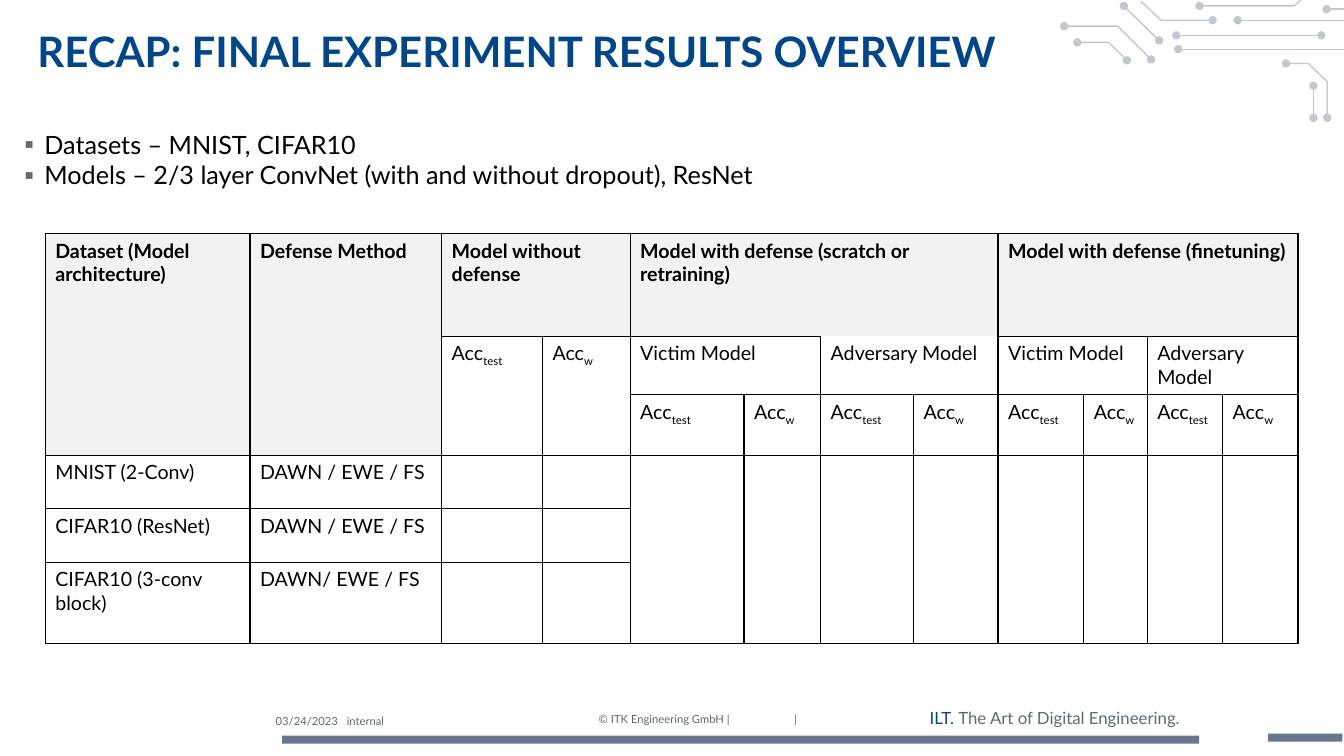
from dataclasses import dataclass
from lxml.etree import SubElement
from pptx import Presentation
from pptx.dml.color import RGBColor
from pptx.enum.shapes import MSO_CONNECTOR, MSO_SHAPE
from pptx.enum.text import MSO_ANCHOR, MSO_AUTO_SIZE, PP_ALIGN
from pptx.oxml.ns import qn
from pptx.util import Cm, Pt


@dataclass(frozen=True)
class Theme:
    font: str = "Lato"
    blue: str = "004689"
    grey: str = "5D6A70"
    bar: str = "69768D"
    wire: str = "C2C8D2"
    shade: str = "F2F2F2"
    black: str = "000000"
    white: str = "FFFFFF"
    title: int = 30
    body: int = 18
    cell: int = 14
    tag: int = 12
    small: int = 8


theme = Theme()

COLS = [5.16, 4.83, 2.54, 2.21, 2.87, 1.93, 2.34, 2.13, 2.16, 1.6, 1.9, 1.9]
ROWS = [2.59, 1.47, 1.52, 1.35, 1.35, 2.04]
PAIR = ["Acc_test", "Acc_w"]
CELLS = [
    ["Dataset (Model architecture)", "Defense Method", "Model without defense", "",
     "Model with defense (scratch or retraining)", "", "", "",
     "Model with defense (finetuning)"],
    ["", "", *PAIR, *["Victim Model", "", "Adversary Model", ""] * 2],
    ["", "", "", "", *PAIR * 4],
    ["MNIST (2-Conv)", "DAWN / EWE / FS"],
    ["CIFAR10 (ResNet)", "DAWN / EWE / FS"],
    ["CIFAR10 (3-conv block)", "DAWN/ EWE / FS"],
]
SPANS = [
    (0, 0, 3, 1), (0, 1, 3, 1), (0, 2, 1, 2), (0, 4, 1, 4), (0, 8, 1, 4),
    (1, 2, 2, 1), (1, 3, 2, 1),
    *[(1, col, 1, 2) for col in range(4, 12, 2)],
    *[(3, col, 3, 1) for col in range(4, 12)],
]
WIRES = [
    ([(0.02, 0.66), (1.37, 0.66), (2.21, 1.5)], True),
    ([(0.35, 1.07), (1.14, 1.07), (1.6, 1.52)], True),
    ([(1.52, 0.15), (2.41, 1.02)], True),
    ([(2.89, 1.24), (7.06, 1.24)], False),
    ([(2.84, 0.89), (6.5, 0.89)], True),
    ([(3.76, 0.51), (2.46, 0.51), (1.95, 0.03)], False),
    ([(4.39, 0.51), (7.06, 0.51)], False),
    ([(3.43, 0.15), (5.81, 0.15), (5.99, 0)], False),
    ([(6.63, 0.23), (7.06, 0.23)], False),
    ([(5.61, 1.6), (6.17, 1.6), (6.65, 2.06), (6.65, 2.97)], True),
    ([(6.3, 2.16), (6.3, 2.97)], True),
]


def write(para, text, size, color=theme.black, bold=False, sub=False):
    run = para.add_run()
    run.text = text
    font = run.font
    font.name, font.size, font.bold = theme.font, Pt(size), bold
    font.color.rgb = RGBColor.from_string(color)
    if sub:
        run._r.get_or_add_rPr().set("baseline", "-25000")


def place(shape, box):
    shape.left, shape.top, shape.width, shape.height = map(Cm, box)


def clear(frame):
    frame.word_wrap = True
    frame.auto_size = MSO_AUTO_SIZE.NONE
    frame.margin_left = frame.margin_right = 0
    frame.margin_top = frame.margin_bottom = 0


def label(slide, box, parts, size, align=PP_ALIGN.LEFT):
    frame = slide.shapes.add_textbox(*map(Cm, box)).text_frame
    clear(frame)
    frame.vertical_anchor = MSO_ANCHOR.MIDDLE
    para = frame.paragraphs[0]
    para.alignment = align
    for text, color in parts:
        write(para, text, size, color)
    return para


def draw_wires(slide, box):
    left, top = box
    for points, both in WIRES:
        spots = [(Cm(left + x), Cm(top + y)) for x, y in points]
        if len(spots) == 2:
            wire = slide.shapes.add_connector(MSO_CONNECTOR.STRAIGHT, *spots[0], *spots[1])
        else:
            path = slide.shapes.build_freeform(*spots[0], scale=1.0)
            path.add_line_segments(spots[1:], close=False)
            wire = path.convert_to_shape()
            wire.fill.background()
        wire.line.color.rgb = RGBColor.from_string(theme.wire)
        wire.line.width = Pt(1)
        line = wire.line._get_or_add_ln()
        SubElement(line, qn("a:headEnd"), type="oval")
        if both:
            SubElement(line, qn("a:tailEnd"), type="oval")
        SubElement(wire._element.spPr, qn("a:effectLst"))


def draw_foot(slide, box):
    left, top = box
    note = label(slide, (left + 8.19, top + 0.16, 5.66, 0.33),
                 [("© ITK Engineering GmbH |\t|", theme.grey)], theme.small)
    tabs = SubElement(note._p.get_or_add_pPr(), qn("a:tabLst"))
    SubElement(tabs, qn("a:tab"), pos=str(Cm(4.93)), algn="l")
    for x, y, width in [(0.21, 0.74, 23.11), (25.05, 0.69, 1.88)]:
        bar = slide.shapes.add_shape(
            MSO_SHAPE.RECTANGLE, Cm(left + x), Cm(top + y), Cm(width), Cm(0.2))
        bar.shadow.inherit = False
        bar.fill.solid()
        bar.fill.fore_color.rgb = RGBColor.from_string(theme.bar)
        bar.line.fill.background()
    label(slide, (left + 16.39, top + 0.03, 6.45, 0.51),
          [("ILT. ", theme.blue), ("The Art of Digital Engineering.", theme.grey)],
          theme.tag, PP_ALIGN.RIGHT)
    label(slide, (left, top + 0.21, 1.67, 0.33),
          [("03/24/2023", theme.grey)], theme.small, PP_ALIGN.CENTER)
    label(slide, (left + 1.84, top + 0.21, 3.61, 0.33),
          [("internal", theme.grey)], theme.small)


def fill_title(slide, box):
    title = slide.shapes.title
    place(title, box)
    frame = title.text_frame
    clear(frame)
    frame.vertical_anchor = MSO_ANCHOR.TOP
    para = frame.paragraphs[0]
    para.alignment = PP_ALIGN.LEFT
    write(para, "RECAP: FINAL EXPERIMENT RESULTS OVERVIEW", theme.title, theme.blue, True)


def fill_list(slide, box):
    body = slide.placeholders[1]
    place(body, box)
    frame = body.text_frame
    clear(frame)
    frame.margin_left, frame.margin_top = Cm(0.25), Cm(0.89)
    frame.vertical_anchor = MSO_ANCHOR.TOP
    items = ["Datasets – MNIST, CIFAR10",
             "Models – 2/3 layer ConvNet (with and without dropout), ResNet"]
    for rank, item in enumerate(items):
        para = frame.add_paragraph() if rank else frame.paragraphs[0]
        para.space_before = Pt(0)
        props = para._p.get_or_add_pPr()
        props.set("marL", str(Cm(0.51)))
        props.set("indent", str(-Cm(0.51)))
        tint = SubElement(props, qn("a:buClr"))
        SubElement(tint, qn("a:srgbClr"), val=theme.grey)
        SubElement(props, qn("a:buFont"), typeface=theme.font)
        SubElement(props, qn("a:buChar"), char="▪")
        write(para, item, theme.body)


def edge(cell, hues):
    props = cell._tc.get_or_add_tcPr()
    for rank, (side, hue) in enumerate(hues.items()):
        line = props.makeelement(qn("a:ln" + side), {"w": str(Pt(1))})
        fill = SubElement(line, qn("a:solidFill"))
        SubElement(fill, qn("a:srgbClr"), val=hue)
        props.insert(rank, line)


def draw_grid(slide, box):
    left, top = box
    frame = slide.shapes.add_table(
        len(ROWS), len(COLS), Cm(left), Cm(top), Cm(sum(COLS)), Cm(sum(ROWS)))
    table = frame.table
    table.first_row = table.horz_banding = False
    for col, width in zip(table.columns, COLS):
        col.width = Cm(width)
    for row, height in zip(table.rows, ROWS):
        row.height = Cm(height)
    for y, x, high, wide in SPANS:
        table.cell(y, x).merge(table.cell(y + high - 1, x + wide - 1))
    for y in range(len(ROWS)):
        for x in range(len(COLS)):
            cell = table.cell(y, x)
            if y == 0 or (x < 2 and y < 3):
                cell.fill.solid()
                cell.fill.fore_color.rgb = RGBColor.from_string(theme.shade)
            else:
                cell.fill.background()
            hues = dict.fromkeys("LRTB", theme.black)
            if x in (6, 7) and y < 2:
                hues["T" if y else "B"] = theme.white
            edge(cell, hues)
            text = CELLS[y][x] if x < len(CELLS[y]) else ""
            if text:
                base, _, sub = text.partition("_")
                para = cell.text_frame.paragraphs[0]
                write(para, base, theme.cell, bold=y == 0)
                if sub:
                    write(para, sub, theme.cell, sub=True)


def main():
    deck = Presentation()
    deck.slide_width, deck.slide_height = Cm(33.87), Cm(19.05)
    slide = deck.slides.add_slide(deck.slide_layouts[1])
    draw_foot(slide, (6.9, 17.8))
    draw_wires(slide, (26.8, 0))
    fill_title(slide, (0.94, 0.64, 30.61, 1.27))
    draw_grid(slide, (1.14, 5.89))
    fill_list(slide, (0.36, 2.36, 23.37, 3.07))
    deck.save("out.pptx")


if __name__ == "__main__":
    main()
